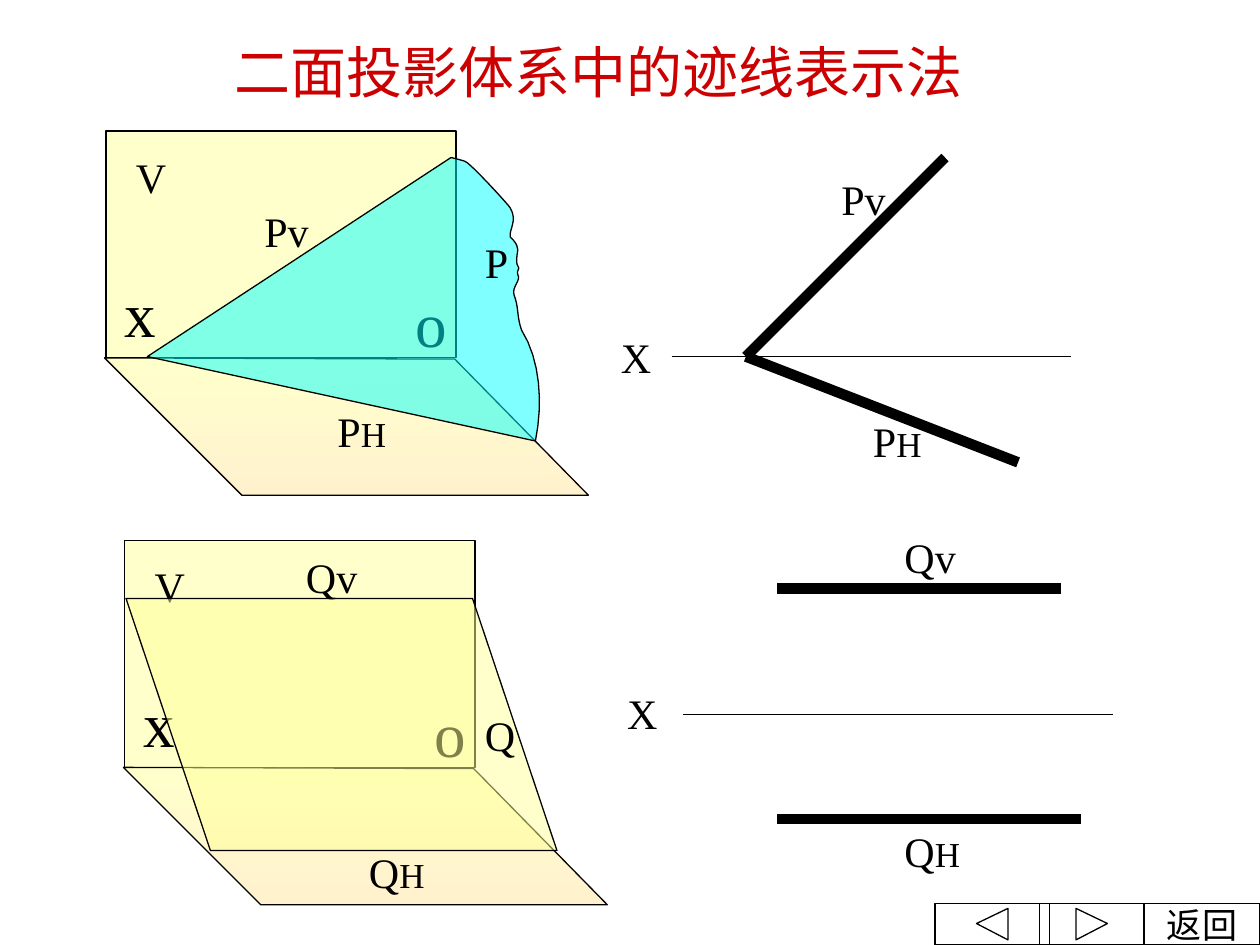
from lxml import etree
from pptx import Presentation
from pptx.dml.color import RGBColor
from pptx.enum.shapes import MSO_CONNECTOR, MSO_SHAPE
from pptx.enum.text import MSO_ANCHOR, PP_ALIGN
from pptx.oxml.ns import qn
from pptx.util import Inches, Pt

STRAIGHT = MSO_CONNECTOR.STRAIGHT
RECT = MSO_SHAPE.RECTANGLE
CENTER, TOP, MIDDLE = PP_ALIGN.CENTER, MSO_ANCHOR.TOP, MSO_ANCHOR.MIDDLE

FONT = "Times New Roman"
COLORS = {
    "ink": "000000", "title": "CC0000", "wall": "FFFFCC", "floor": "FFF2CD",
    "plane_p": "00FFFF", "plane_q": "FFFF99",
}
THIN, THICK = 0.75, 6
BUTTON_TOP, BUTTON_BOTTOM = 7.17, 7.5

# Plane P: two straight traces, then a torn edge of Bezier segments
P_TRACES = [(3.58, 1.25), (1.17, 2.83), (4.25, 3.5)]
P_EDGE = [
    [(4.31, 3.2), (4.29, 2.86), (4.14, 2.62)],
    [(4.1, 2.51), (4.12, 2.44), (4.08, 2.34)],
    [(4.06, 2.28), (4.14, 2.22), (4.11, 2.18)],
    [(4.1, 2.14), (4.13, 2.14), (4.11, 2.11)],
    [(4.09, 2.08), (4.11, 2), (4.11, 1.98)],
    [(4.1, 1.95), (4.11, 1.94), (4.05, 1.88)],
    [(4.04, 1.82), (4.11, 1.75), (4.05, 1.65)],
    [(4.05, 1.64), (3.72, 1.28), (3.69, 1.28)],
    [(3.66, 1.27), (3.62, 1.26), (3.58, 1.25)],
]
Q_OUTLINE = [(1, 4.75), (3.75, 4.75), (4.42, 6.75), (1.67, 6.75)]


def rgb(name):
    return RGBColor.from_string(COLORS[name])


def set_outline(sp):
    sp.shadow.inherit = False
    sp.line.color.rgb = rgb("ink")
    sp.line.width = Pt(THIN)


def set_fill(sp, color, alpha=None):
    sp.fill.solid()
    sp.fill.fore_color.rgb = rgb(color)
    if alpha is not None:
        clr = sp.fill._xPr.find(".//" + qn("a:srgbClr"))
        etree.SubElement(clr, qn("a:alpha")).set("val", str(alpha * 1000))


def set_font(font, size, color="ink"):
    font.name, font.size = FONT, Pt(size)
    font.color.rgb = rgb(color)


def add_label(s, text, left, top, width=0.67, size=24, sub=""):
    """Add a label, with an optional smaller index letter."""
    box = s.shapes.add_textbox(Inches(left), Inches(top), Inches(width),
                               Inches(0.7 if size > 24 else 0.5))
    tf = box.text_frame
    tf.word_wrap = True
    p = tf.paragraphs[0]
    p.add_run().text = text
    set_font(p.font, size)
    if sub:
        r = p.add_run()
        r.text = sub
        r.font.size = Pt(20)


def add_line(s, start, end, width):
    line = s.shapes.add_connector(STRAIGHT, *map(Inches, start + end))
    line.line.color.rgb = rgb("ink")
    line.line.width = Pt(width)
    etree.SubElement(line._element.spPr, qn("a:effectLst"))


def add_outline(s, *contours):
    """Add one freeform made of closed contours."""
    builder = None
    for contour in contours:
        points = [(Inches(x), Inches(y)) for x, y in contour]
        if builder is None:
            builder = s.shapes.build_freeform(*points[0], scale=1.0)
        else:
            builder.move_to(*points[0])
        builder.add_line_segments(points[1:], close=True)
    sp = builder.convert_to_shape()
    set_outline(sp)
    return sp


def curve(start, segments, steps=8):
    """Points along a chain of cubic Bezier segments."""
    points = []
    for b, c, d in segments:
        for i in range(1, steps + 1):
            t = i / steps
            u = 1 - t
            points.append(tuple(
                u**3 * start[k] + 3 * u * u * t * b[k]
                + 3 * u * t * t * c[k] + t**3 * d[k] for k in (0, 1)))
        start = d
    return points


def add_frame(s, x, y):
    """Add the V wall, the H floor and their letters."""
    wall = s.shapes.add_shape(RECT, *map(Inches, (x, y, 2.78, 1.8)))
    set_outline(wall)
    set_fill(wall, "wall")
    floor = add_outline(s, [(x - 0.01, y + 1.8), (x + 1.08, y + 2.89),
                            (x + 3.83, y + 2.89), (x + 2.77, y + 1.81)])
    floor.fill.gradient()
    floor.fill.gradient_angle = 270
    for stop, color in zip(floor.fill.gradient_stops, ("wall", "floor")):
        stop.color.rgb = rgb(color)
    add_label(s, "x", x + 0.05, y + 1.09, 0.35, 36)
    add_label(s, "o", x + 2.36, y + 1.17, 0.36, 36)
    add_label(s, "V", x + 0.14, y + 0.11, 0.44)


def add_button(s, left, right, *icons):
    box = [(left, BUTTON_TOP), (right, BUTTON_TOP),
           (right, BUTTON_BOTTOM), (left, BUTTON_BOTTOM)]
    sp = add_outline(s, box, *icons)
    sp.fill.background()
    return sp


def add_title(s, text):
    title = s.shapes.title
    title._element.getparent().remove(title._element)
    sp = s.placeholders[1]
    sp.left, sp.top, sp.width, sp.height = map(Inches, (1.25, 0.25, 7, 0.75))
    tf = sp.text_frame
    tf.text = text
    tf.vertical_anchor = TOP
    p = tf.paragraphs[0]
    p.alignment = CENTER
    p.space_before = Pt(0)
    set_font(p.font, 32, "title")


def main():
    prs = Presentation()
    prs.slide_width, prs.slide_height = Inches(10), Inches(7.5)
    s = prs.slides.add_slide(prs.slide_layouts[0])
    add_title(s, "二面投影体系中的迹线表示法")

    # Spatial views of the two projection planes
    add_frame(s, 0.99, 4.29)
    add_frame(s, 0.84, 1.04)

    # Plane P in space
    plane_p = add_outline(s, P_TRACES + curve(P_TRACES[-1], P_EDGE))
    set_fill(plane_p, "plane_p", 50)
    add_label(s, "P", 3.75, 1.83, 0.33)
    add_label(s, "Pv", 2, 1.58)
    add_label(s, "P", 2.58, 3.17, sub="H")

    # Traces of plane P
    origin = (5.92, 2.83)
    add_line(s, (5.33, 2.83), (8.5, 2.83), THIN)
    add_line(s, (7.5, 1.25), origin, THICK)
    add_line(s, origin, (8.08, 3.67), THICK)
    add_label(s, "Pv", 6.58, 1.33)
    add_label(s, "P", 6.83, 3.25, sub="H")
    add_label(s, "X", 4.83, 2.58, 0.44)

    # Traces of plane Q
    add_line(s, (5.42, 5.67), (8.83, 5.67), THIN)
    add_line(s, (6.17, 4.67), (8.42, 4.67), THICK)
    add_line(s, (6.17, 6.5), (8.58, 6.5), THICK)
    add_label(s, "Qv", 7.08, 4.17)
    add_label(s, "Q", 7.08, 6.5, 0.92, sub="H")
    add_label(s, "X", 4.88, 5.41, 0.44)

    # Plane Q in space
    add_label(s, "Q", 2.83, 6.67, 0.92, sub="H")
    add_label(s, "Qv", 2.33, 4.33)
    set_fill(add_outline(s, Q_OUTLINE), "plane_q", 50)
    add_label(s, "Q", 3.75, 5.58, 0.33)

    # Navigation buttons
    add_button(s, 7.42, 8.33, [(7.75, 7.33), (8, 7.21), (8, 7.46)])
    add_button(s, 8.25, 9.08, [(8.54, 7.21), (8.79, 7.33), (8.54, 7.46)])
    tf = add_button(s, 9.08, 10).text_frame
    tf.text = "返回"
    tf.word_wrap = False
    tf.vertical_anchor = MIDDLE
    p = tf.paragraphs[0]
    p.alignment = CENTER
    set_font(p.font, 20)

    prs.save("out.pptx")


if __name__ == "__main__":
    main()
